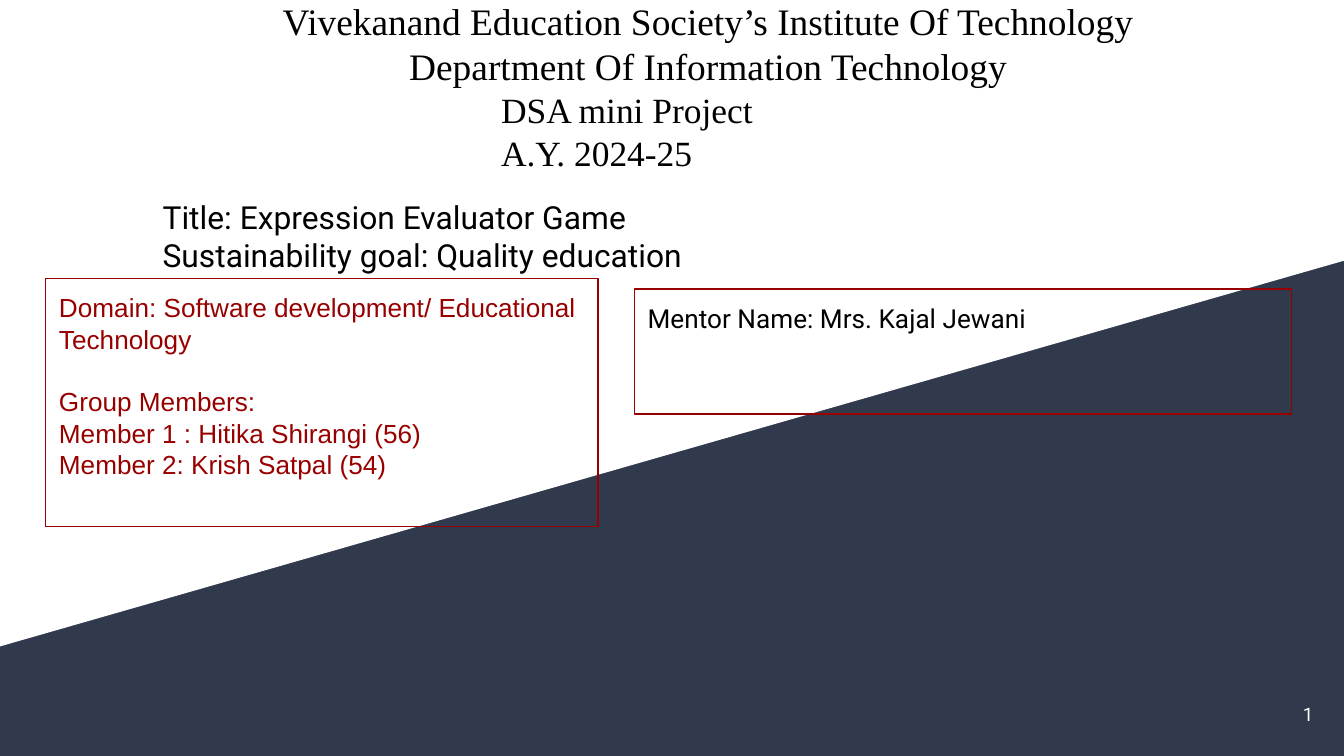
from pptx import Presentation
from pptx.dml.color import RGBColor
from pptx.enum.shapes import MSO_SHAPE
from pptx.enum.text import MSO_ANCHOR, PP_ALIGN
from pptx.util import Inches, Pt

RECT = MSO_SHAPE.RECTANGLE
TOP, MIDDLE = MSO_ANCHOR.TOP, MSO_ANCHOR.MIDDLE
LEFT, CENTER, RIGHT = PP_ALIGN.LEFT, PP_ALIGN.CENTER, PP_ALIGN.RIGHT
NAVY, WHITE, BLACK, RED = "31394D", "FFFFFF", "000000", "980000"


def rgb(color):
    return RGBColor.from_string(color)


def write(sp, lines, size=14, font="Roboto", color=BLACK, align=LEFT,
          anchor=TOP, inset=0.1):
    """Fill a shape with one paragraph per line and return the paragraphs."""
    tf = sp.text_frame
    tf.word_wrap = True
    tf.vertical_anchor = anchor
    tf.margin_left = tf.margin_right = Inches(0.1)
    tf.margin_top = tf.margin_bottom = Inches(inset)
    tf.text = "\n".join(lines)
    for p in tf.paragraphs:
        p.alignment = align
        p.line_spacing = 1.0
        p.space_before = Pt(0)
        for r in p.runs:
            r.font.size = Pt(size)
            r.font.name = font
            r.font.color.rgb = rgb(color)
    return tf.paragraphs


prs = Presentation()
prs.slide_width = Inches(10)
prs.slide_height = Inches(10) * 9 // 16
s = prs.slides.add_slide(prs.slide_layouts[5])
s.background.fill.solid()
s.background.fill.fore_color.rgb = rgb(NAVY)

# White slanted backdrop, sent behind the title
builder = s.shapes.build_freeform(0, 0, scale=Inches(1) / 100)
builder.add_line_segments([(1000, 0), (1000, 194), (0, 481)], close=True)
backdrop = builder.convert_to_shape()
backdrop.shadow.inherit = False
backdrop.fill.solid()
backdrop.fill.fore_color.rgb = rgb(WHITE)
backdrop.line.fill.background()
s.shapes.element.insert(2, backdrop.element)

# Project title
title = s.shapes.title
title.left, title.top = Inches(1.11), Inches(1.37)
title.width, title.height = Inches(8.33), Inches(0.47)
write(title, ["Title: Expression Evaluator Game",
              "Sustainability goal: Quality education"], size=17)

# Outlined boxes: mentor, then domain and group
mentor = ["Mentor Name: Mrs. Kajal Jewani"]
group = ["Domain: Software development/ Educational Technology",
         "Group Members:",
         "Member 1 : Hitika Shirangi (56)",
         "Member 2: Krish Satpal (54)"]
for x, y, w, h, lines, font, color in [
        (4.72, 2.15, 4.89, 0.93, mentor, "Roboto", BLACK),
        (0.34, 2.07, 4.11, 1.85, group, "Arial", RED)]:
    box = s.shapes.add_shape(RECT, Inches(x), Inches(y), Inches(w), Inches(h))
    box.shadow.inherit = False
    box.fill.background()
    box.line.color.rgb = rgb(RED)
    box.line.width = Pt(0.75)
    paragraphs = write(box, lines, font=font, color=color)
    if lines is group:
        paragraphs[1].space_before = Pt(16.8)

# Institute heading
heading = s.shapes.add_textbox(Inches(1.13), Inches(-0.06), Inches(8.28), Inches(1.85))
paragraphs = write(heading, ["Vivekanand Education Society’s Institute Of Technology",
                             "Department Of Information Technology",
                             "DSA mini Project", "A.Y. 2024-25"],
                   size=20, font="Times New Roman", align=CENTER, inset=0.05)
for p in paragraphs[2:]:
    p.alignment = LEFT
    p.runs[0].font.size = Pt(19)
    props = p._p.get_or_add_pPr()
    props.set("marL", str(Inches(2)))
    props.set("indent", str(Inches(0.5)))

# Page number
number = s.shapes.add_textbox(Inches(9.27), Inches(5.1), Inches(0.6), Inches(0.43))
write(number, ["1"], size=10, color=WHITE, align=RIGHT, anchor=MIDDLE)

prs.save("out.pptx")
